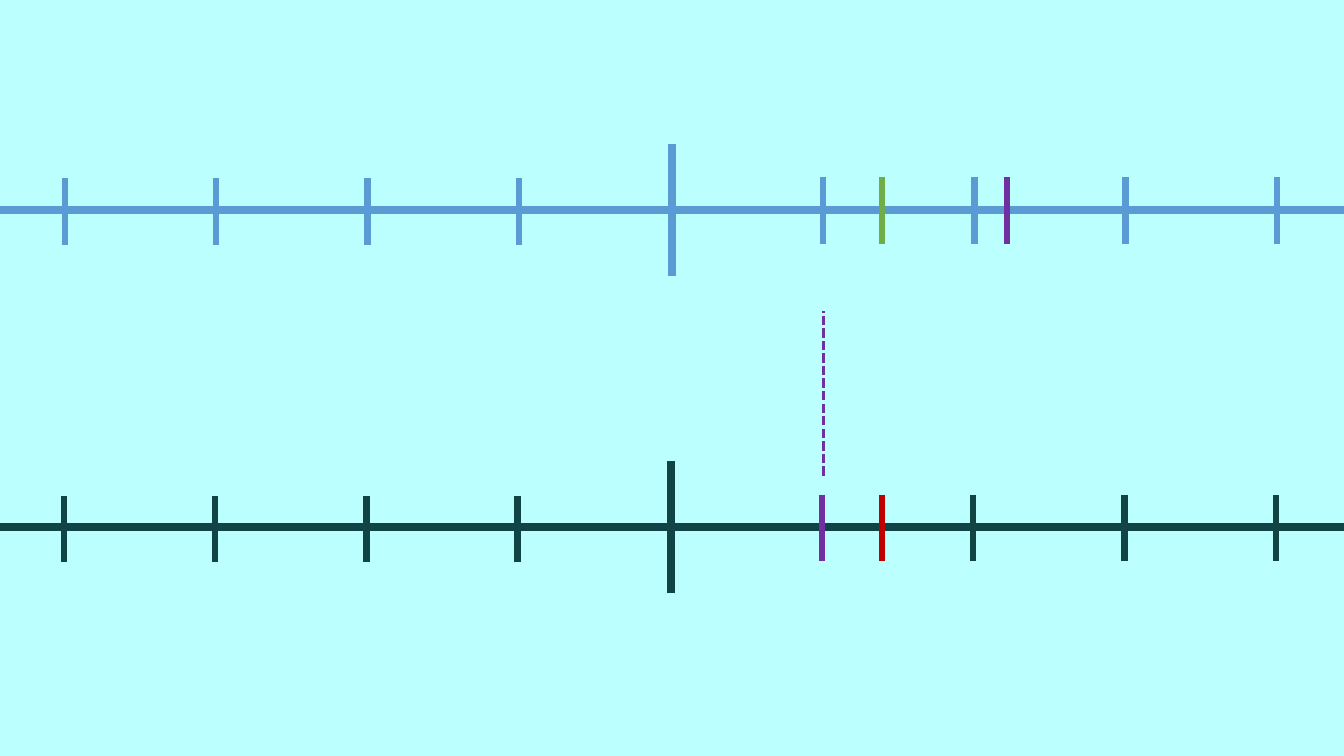
"""Build a slide with two parallel number lines and their marked points."""
from dataclasses import dataclass

from lxml.etree import SubElement
from pptx import Presentation
from pptx.dml.color import RGBColor
from pptx.enum.dml import MSO_LINE_DASH_STYLE as DASH
from pptx.enum.shapes import MSO_CONNECTOR as CONNECTOR
from pptx.oxml.ns import qn
from pptx.util import Emu, Pt


@dataclass(frozen=True)
class Theme:
    background: str = "BBFFFF"
    upper: str = "5B9BD5"
    lower: str = "114444"
    purple: str = "7030A0"
    green: str = "70AD47"
    red: str = "C00000"
    axis_width: float = 6
    tick_width: float = 4.5
    guide_width: float = 2.25


THEME = Theme()
PX = 9525
AXIS_LEFT, AXIS_RIGHT = -226, 1503
UNIT = 144
TICK_LENGTH = 63
TICK_RISE = 31
ORIGIN_RISE = 63
LEFT_SHIFT_X, LEFT_SHIFT_Y = -2, 1
UPPER_Y, LOWER_Y = 200, 502

presentation = Presentation()
presentation.slide_width = Emu(1280 * PX)
presentation.slide_height = Emu(720 * PX)
slide = presentation.slides.add_slide(presentation.slide_layouts[6])
slide.background.fill.solid()
slide.background.fill.fore_color.rgb = RGBColor.from_string(THEME.background)


def add_line(x1, y1, x2, y2, color, width):
    ends = [Emu(value * PX) for value in (x1, y1, x2, y2)]
    connector = slide.shapes.add_connector(CONNECTOR.STRAIGHT, *ends)
    connector.line.color.rgb = RGBColor.from_string(color)
    connector.line.width = Pt(width)
    SubElement(connector._element.spPr, qn("a:effectLst"))
    return connector


def add_tick(x, top, color):
    add_line(x, top, x, top + TICK_LENGTH, color, THEME.tick_width)


number_lines = [
    (640, UPPER_Y, THEME.upper, {}),
    (639, LOWER_Y, THEME.lower, {1: THEME.purple}),
]
for origin, axis_y, color, marked_steps in number_lines:
    add_line(AXIS_LEFT, axis_y, AXIS_RIGHT, axis_y, color, THEME.axis_width)
    add_line(origin, axis_y - ORIGIN_RISE, origin, axis_y + ORIGIN_RISE, color, THEME.axis_width)
    for step in (1, 2, 3, 4):
        tick_color = marked_steps.get(step, color)
        add_tick(origin + step * UNIT, axis_y - TICK_RISE, tick_color)
    for step in (-4, -3, -2, -1):
        add_tick(origin + step * UNIT + LEFT_SHIFT_X, axis_y - TICK_RISE + LEFT_SHIFT_Y, color)

points = [
    (840, UPPER_Y, THEME.green),
    (840, LOWER_Y, THEME.red),
    (959, UPPER_Y, THEME.purple),
]
for x, axis_y, color in points:
    add_tick(x, axis_y - TICK_RISE, color)

guide = add_line(784, 453, 784, 296, THEME.purple, THEME.guide_width)
guide.line.dash_style = DASH.ROUND_DOT
guide.line.dash_style = DASH.SQUARE_DOT

presentation.save("out.pptx")
